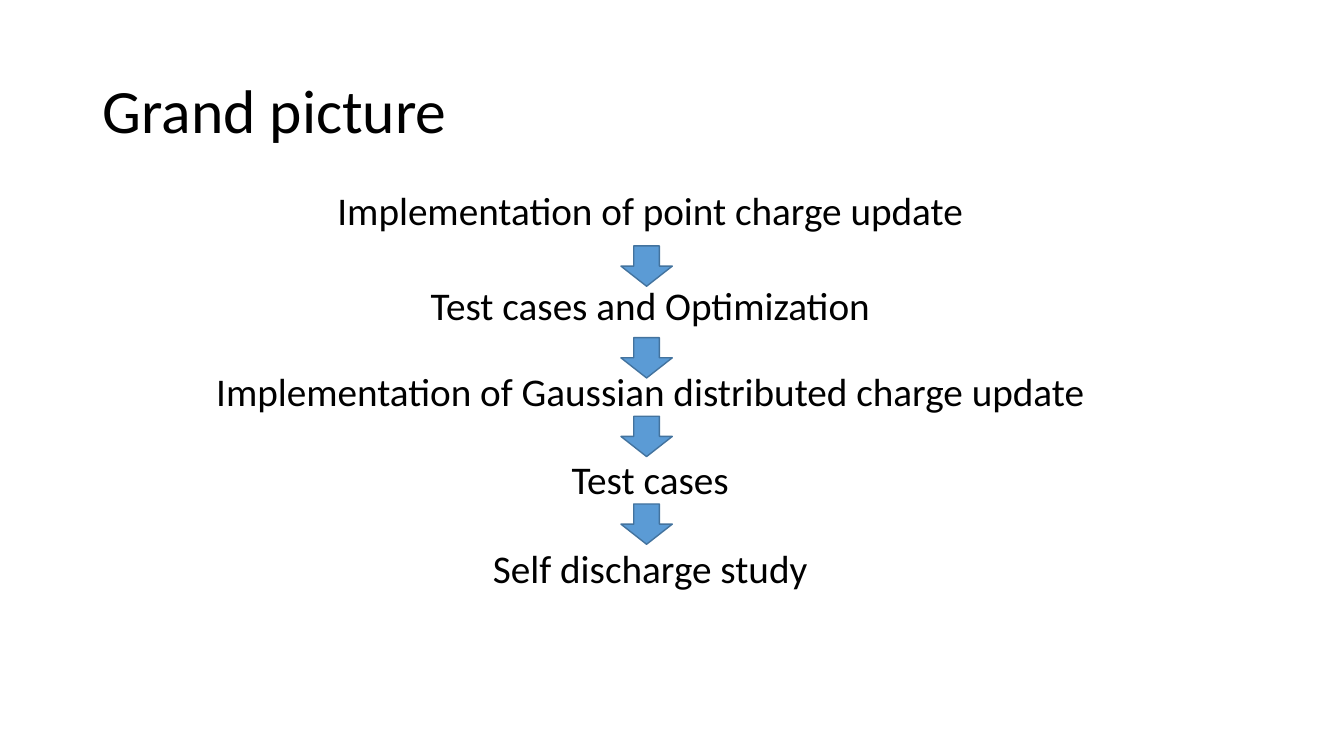
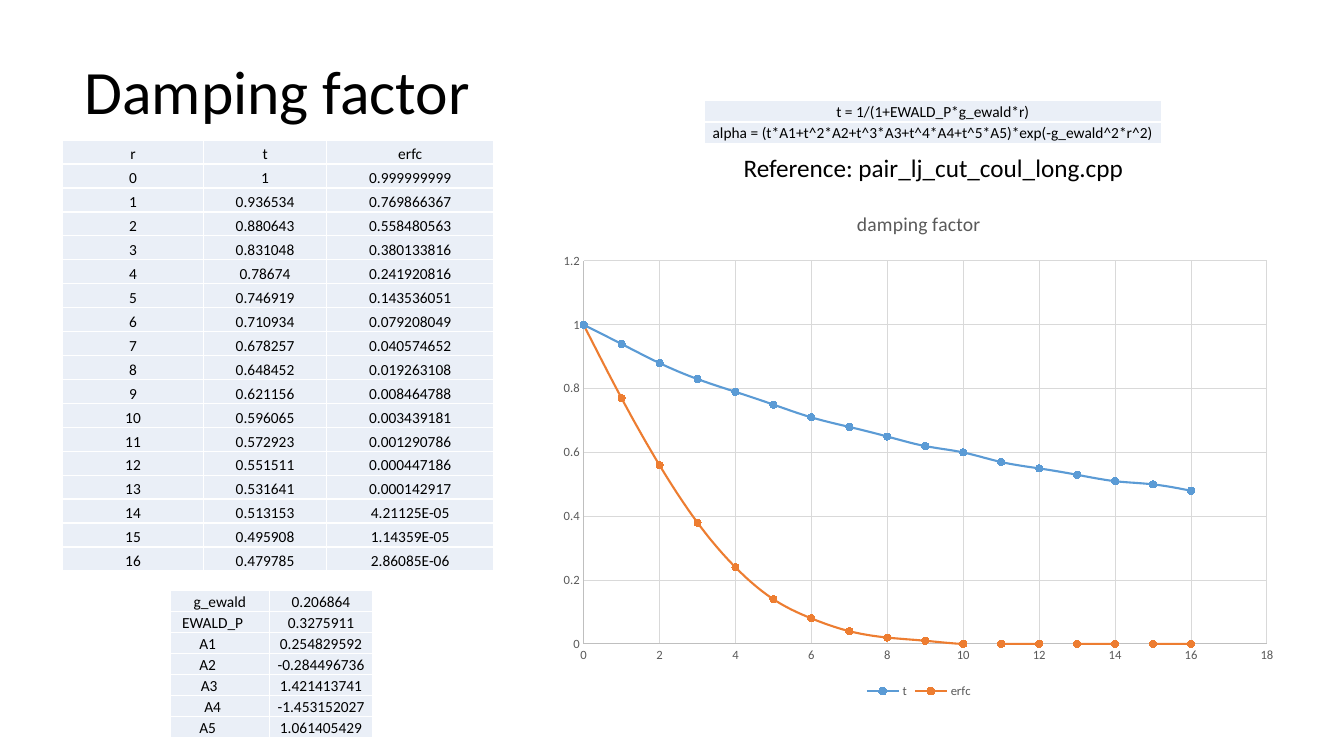
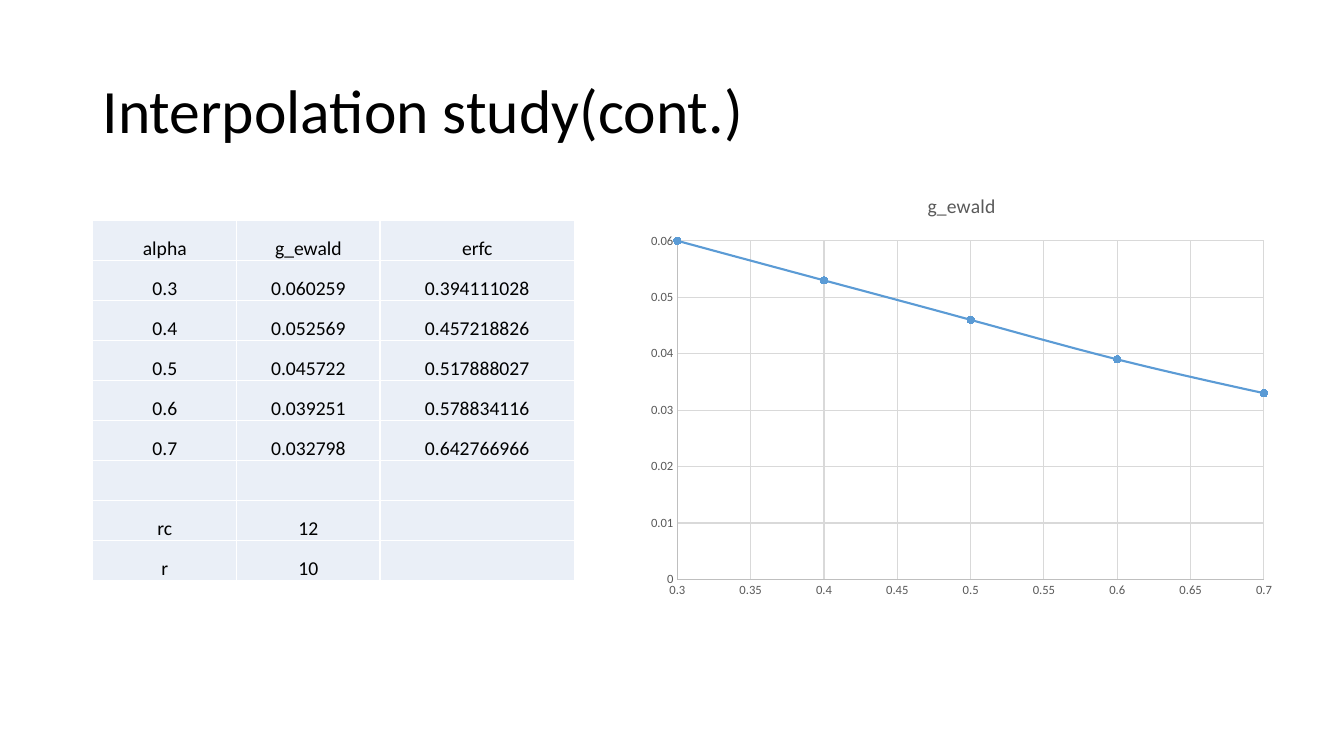
import lxml.etree
import pptx
import pptx.chart.data
import pptx.dml.color
import pptx.enum.chart
import pptx.enum.shapes
import pptx.enum.text
import pptx.oxml.ns
import pptx.util

Inches = pptx.util.Inches
Pt = pptx.util.Pt
qn = pptx.oxml.ns.qn
ALIGN = pptx.enum.text.PP_ALIGN
ANCHOR = pptx.enum.text.MSO_ANCHOR

FONT = "Calibri"
BLACK, WHITE, GREY = "000000", "FFFFFF", "595959"
BLUE, ORANGE, ARROW_EDGE = "5B9BD5", "ED7D31", "43739E"
CELL_FILL, AXIS_LINE, GRID_LINE = "EAEFF7", "BFBFBF", "D9D9D9"
TITLE_SIZE = (11.5, 1.45)

# Text, top and height of each step, then the tops of the arrows between them
STEPS = [
    ("Implementation of point charge update", 1.85, 0.62),
    ("Test cases and Optimization", 2.79, 0.53),
    ("Implementation of Gaussian distributed charge update", 3.65, 0.55),
    ("Test cases", 4.52, 0.61),
    ("Self discharge study", 5.4, 0.61),
]
ARROW_TOPS = [2.44, 3.35, 4.13, 5]

DAMPING = [
    ("r", "t", "erfc"),
    ("0", "1", "0.999999999"),
    ("1", "0.936534", "0.769866367"),
    ("2", "0.880643", "0.558480563"),
    ("3", "0.831048", "0.380133816"),
    ("4", "0.78674", "0.241920816"),
    ("5", "0.746919", "0.143536051"),
    ("6", "0.710934", "0.079208049"),
    ("7", "0.678257", "0.040574652"),
    ("8", "0.648452", "0.019263108"),
    ("9", "0.621156", "0.008464788"),
    ("10", "0.596065", "0.003439181"),
    ("11", "0.572923", "0.001290786"),
    ("12", "0.551511", "0.000447186"),
    ("13", "0.531641", "0.000142917"),
    ("14", "0.513153", "4.21125E-05"),
    ("15", "0.495908", "1.14359E-05"),
    ("16", "0.479785", "2.86085E-06"),
]
CONSTANTS = [
    ("g_ewald", "0.206864"),
    ("EWALD_P", "0.3275911"),
    ("A1", "0.254829592"),
    ("A2", "-0.284496736"),
    ("A3", "1.421413741"),
    ("A4", "-1.453152027"),
    ("A5", "1.061405429"),
]
# Right margins that move the constant names off centre
CONSTANT_MARGINS = [0.01, 0.15, 0.25, 0.25, 0.22, 0.15, 0.25]
FORMULAS = [
    ("t = 1/(1+EWALD_P*g_ewald*r)",),
    ("alpha = (t*A1+t^2*A2+t^3*A3+t^4*A4+t^5*A5)*exp(-g_ewald^2*r^2)",),
]
INTERPOLATION = [
    ("alpha", "g_ewald", "erfc"),
    ("0.3", "0.060259", "0.394111028"),
    ("0.4", "0.052569", "0.457218826"),
    ("0.5", "0.045722", "0.517888027"),
    ("0.6", "0.039251", "0.578834116"),
    ("0.7", "0.032798", "0.642766966"),
]
CUTOFFS = [("", "", ""), ("rc", "12", ""), ("r", "10", "")]


def rgb(value):
    return pptx.dml.color.RGBColor.from_string(value)


def style_font(font, size, color=BLACK):
    font.name, font.size, font.bold = FONT, Pt(size), False
    font.color.rgb = rgb(color)


def style_line(line, color, width):
    line.color.rgb = rgb(color)
    line.width = Pt(width)


def add_text(slide, text, box, size, align=ALIGN.LEFT, anchor=ANCHOR.TOP, **spacing):
    """Add a text box; spacing names paragraph properties such as line_spacing."""
    frame = slide.shapes.add_textbox(*map(Inches, box)).text_frame
    frame.word_wrap = True
    frame.vertical_anchor = anchor
    paragraph = frame.paragraphs[0]
    paragraph.alignment = align
    for name, value in spacing.items():
        setattr(paragraph, name, value)
    run = paragraph.add_run()
    run.text = text
    style_font(run.font, size)


def add_titled_slide(presentation, title, left=0.92, top=0.4):
    slide = presentation.slides.add_slide(presentation.slide_layouts[6])
    add_text(slide, title, (left, top, *TITLE_SIZE), 44,
             anchor=ANCHOR.MIDDLE, line_spacing=0.9)
    return slide


def add_arrow(slide, top):
    arrow = slide.shapes.add_shape(pptx.enum.shapes.MSO_SHAPE.DOWN_ARROW,
                                   *map(Inches, (6.16, top, 0.51, 0.4)))
    arrow.shadow.inherit = False
    arrow.fill.solid()
    arrow.fill.fore_color.rgb = rgb(BLUE)
    style_line(arrow.line, ARROW_EDGE, 1)


def add_cell_borders(cell):
    properties = cell._tc.get_or_add_tcPr()
    for side in ("a:lnL", "a:lnR", "a:lnT", "a:lnB"):
        border = lxml.etree.SubElement(properties, qn(side), w=str(Pt(1)))
        fill = lxml.etree.SubElement(border, qn("a:solidFill"))
        lxml.etree.SubElement(fill, qn("a:srgbClr"), val=WHITE)


def add_grid(slide, rows, left, top, widths, height, size):
    """Add a table with equal row heights and return it."""
    table = slide.shapes.add_table(
        len(rows), len(widths),
        *map(Inches, (left, top, sum(widths), height))).table
    table.first_row = table.horz_banding = False
    for column, width in zip(table.columns, widths):
        column.width = Inches(width)
    for row, texts in zip(table.rows, rows):
        row.height = Inches(height / len(rows))
        for cell, text in zip(row.cells, texts):
            add_cell_borders(cell)
            cell.fill.solid()
            cell.fill.fore_color.rgb = rgb(CELL_FILL)
            cell.margin_left = cell.margin_right = cell.margin_top = Inches(0.01)
            cell.margin_bottom = 0
            cell.vertical_anchor = ANCHOR.BOTTOM
            paragraph = cell.text_frame.paragraphs[0]
            paragraph.alignment = ALIGN.CENTER
            if text:
                run = paragraph.add_run()
                run.text = text
                style_font(run.font, size)
    return table


def style_axis(axis, low, high, step):
    axis.minimum_scale, axis.maximum_scale, axis.major_unit = low, high, step
    axis.major_tick_mark = axis.minor_tick_mark = pptx.enum.chart.XL_TICK_MARK.NONE
    axis.has_major_gridlines = True
    style_font(axis.tick_labels.font, 9, GREY)
    style_line(axis.format.line, AXIS_LINE, 0.75)
    style_line(axis.major_gridlines.format.line, GRID_LINE, 0.75)


def place_plot(chart, box, plot_box):
    """Fix the inner plot area; both boxes are in inches on the slide."""
    area = chart._chartSpace.chart.plotArea
    for layout in area.findall(qn("c:layout")):
        area.remove(layout)
    layout = lxml.etree.Element(qn("c:layout"))
    area.insert(0, layout)
    manual = lxml.etree.SubElement(layout, qn("c:manualLayout"))
    left, top, width, height = box
    settings = {
        "layoutTarget": "inner", "xMode": "edge", "yMode": "edge",
        "x": (plot_box[0] - left) / width, "y": (plot_box[1] - top) / height,
        "w": plot_box[2] / width, "h": plot_box[3] / height,
    }
    for name, value in settings.items():
        lxml.etree.SubElement(manual, qn("c:" + name), val=str(value))


def add_curves(slide, title, rows, digits, colors, box, plot_box, x_scale, y_scale):
    """Plot one smooth curve per colour, rounded to digits; x is the first column."""
    header, *points = rows
    data = pptx.chart.data.XyChartData()
    for column in range(1, len(colors) + 1):
        series = data.add_series(header[column])
        for point in points:
            series.add_data_point(float(point[0]), round(float(point[column]), digits))
    chart = slide.shapes.add_chart(
        pptx.enum.chart.XL_CHART_TYPE.XY_SCATTER_SMOOTH,
        *map(Inches, box), data).chart
    style_font(chart.font, 10)
    chart.has_title = True
    chart.chart_title.include_in_layout = False
    run = chart.chart_title.text_frame.paragraphs[0].add_run()
    run.text = title
    style_font(run.font, 14, GREY)
    chart.has_legend = len(colors) > 1
    if chart.has_legend:
        chart.legend.position = pptx.enum.chart.XL_LEGEND_POSITION.BOTTOM
        chart.legend.include_in_layout = False
        style_font(chart.legend.font, 9, GREY)
    style_axis(chart.category_axis, *x_scale)
    style_axis(chart.value_axis, *y_scale)
    place_plot(chart, box, plot_box)
    plot = chart.plots[0]
    plot.vary_by_categories = False
    for series, color in zip(plot.series, colors):
        for smooth in series._element.iter(qn("c:smooth")):
            smooth.set("val", "1")
        style_line(series.format.line, color, 1.5)
        marker = series.marker
        marker.style = pptx.enum.chart.XL_MARKER_STYLE.CIRCLE
        marker.size = 5
        marker.format.fill.solid()
        marker.format.fill.fore_color.rgb = rgb(color)
        style_line(marker.format.line, color, 0.75)


def build_grand_picture(presentation):
    slide = add_titled_slide(presentation, "Grand picture")
    for text, top, height in STEPS:
        add_text(slide, text, (1.63, top, 9.64, height), 28, align=ALIGN.CENTER,
                 line_spacing=0.9, space_before=Pt(10))
    for top in ARROW_TOPS:
        add_arrow(slide, top)


def build_damping_factor(presentation):
    slide = add_titled_slide(presentation, "Damping factor", 0.74, 0.21)
    add_grid(slide, DAMPING, 0.62, 1.39, (1.4, 1.22, 1.66), 4.28, 11)
    constants = add_grid(slide, CONSTANTS, 1.69, 5.86, (0.98, 1.03), 1.46, 11)
    for row, margin in enumerate(CONSTANT_MARGINS):
        constants.cell(row, 0).margin_right = Inches(margin)
    add_curves(slide, "damping factor", DAMPING, 2, (BLUE, ORANGE),
               (5.45, 1.9, 7.33, 5.07), (5.79, 2.59, 6.78, 3.8),
               (0, 18, 2), (0, 1.2, 0.2))
    add_grid(slide, FORMULAS, 6.99, 1, (4.53,), 0.42, 11)
    add_text(slide, "Reference: pair_lj_cut_coul_long.cpp",
             (6.84, 1.46, 4.84, 0.4), 18, align=ALIGN.CENTER)


def build_interpolation(presentation):
    slide = add_titled_slide(presentation, "Interpolation study(cont.)")
    add_grid(slide, INTERPOLATION + CUTOFFS, 0.92, 2.19, (1.43, 1.42, 1.93), 3.57, 14)
    add_curves(slide, "g_ewald", INTERPOLATION, 3, (BLUE,),
               (6.33, 1.73, 6.42, 4.29), (6.72, 2.39, 5.82, 3.36),
               (0.3, 0.7, 0.05), (0, 0.06, 0.01))


def main():
    presentation = pptx.Presentation()
    presentation.slide_width = Inches(40 / 3)
    presentation.slide_height = Inches(7.5)
    build_grand_picture(presentation)
    build_damping_factor(presentation)
    build_interpolation(presentation)
    presentation.save("out.pptx")


if __name__ == "__main__":
    main()
